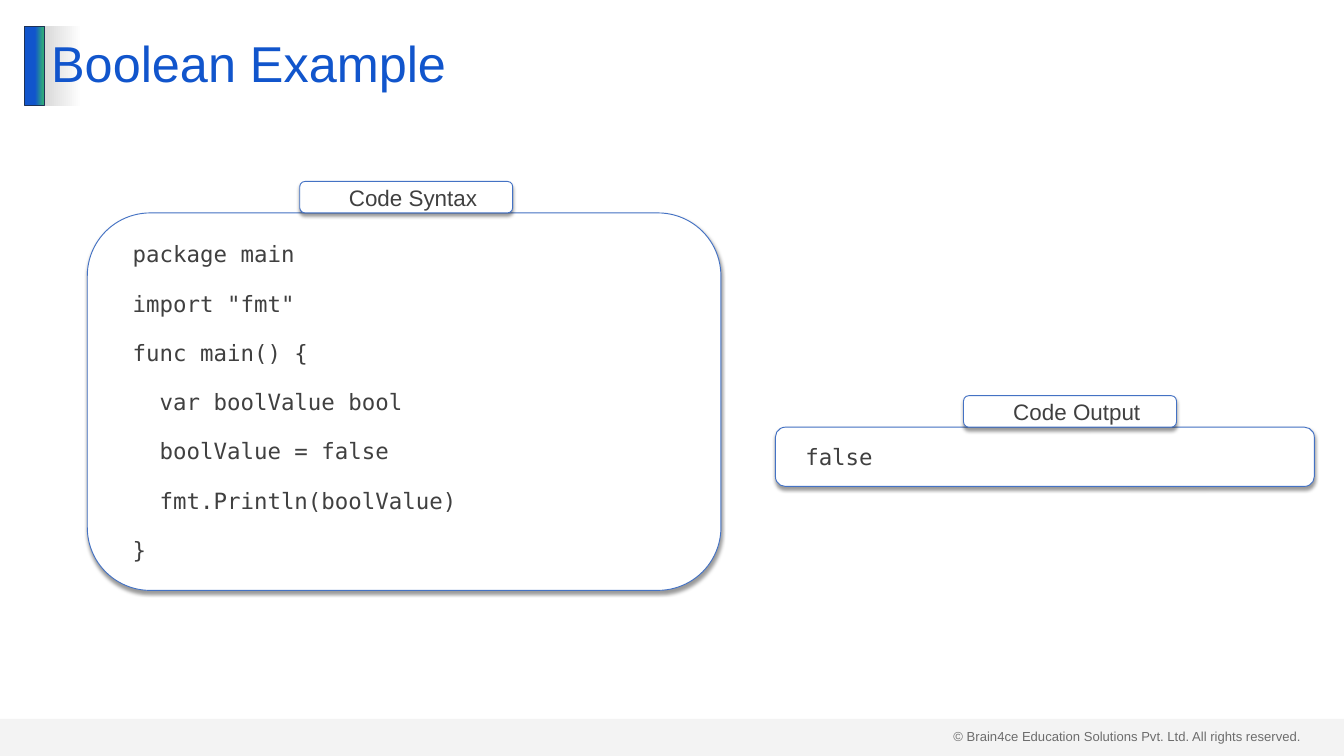
from dataclasses import dataclass

from lxml.etree import SubElement
from pptx import Presentation
from pptx.dml.color import RGBColor
from pptx.enum.shapes import MSO_SHAPE as Shape
from pptx.enum.text import MSO_ANCHOR as Anchor, MSO_AUTO_SIZE as AutoSize, PP_ALIGN as Align
from pptx.oxml.ns import qn
from pptx.util import Cm, Pt

COLORS = {
    "title": "1155CC", "green": "2EA87D", "accent_line": "1E3256",
    "grey": "D9D9D9", "white": "FFFFFF", "border": "4472C4",
    "text": "404040", "shadow": "000000",
}
SANS, MONO = "Arial", "DejaVu Sans Mono"
LABEL_WIDTH, LABEL_HEIGHT = 8.05, 1.19
INDENT = Cm(0.51)


@dataclass
class Box:
    """Position and size in centimetres."""
    left: float
    top: float
    width: float
    height: float

    def lengths(self) -> list:
        return [Cm(v) for v in (self.left, self.top, self.width, self.height)]


@dataclass
class Panel:
    label: str
    label_left: float
    box: Box
    lines: list[str]


PANELS = [
    Panel("Code Syntax", 11.33, Box(3.3, 8.05, 23.95, 14.27), [
        "package main",
        'import "fmt"',
        "func main() {",
        "  var boolValue bool",
        "  boolValue = false",
        "  fmt.Println(boolValue)",
        "}",
    ]),
    Panel("Code Output", 36.42, Box(29.31, 16.15, 20.37, 2.24), ["false"]),
]


def color(name: str) -> RGBColor:
    return RGBColor.from_string(COLORS[name])


def style(paragraph, font_name: str, size: float, color_name: str) -> None:
    for run in paragraph.runs:
        run.font.name = font_name
        run.font.size = Pt(size)
        run.font.color.rgb = color(color_name)


def add_alpha(color_element, percent: int) -> None:
    SubElement(color_element, qn("a:alpha"), val=str(percent * 1000))


def fill_gradient(shape, stops: list[tuple[str, float]]) -> None:
    shape.fill.gradient()
    shape.fill.gradient_angle = 0
    for stop, (name, position) in zip(shape.fill.gradient_stops, stops):
        stop.color.rgb = color(name)
        stop.position = position


def add_shadow(shape) -> None:
    effects = shape._element.spPr.find(qn("a:effectLst"))
    shadow = SubElement(effects, qn("a:outerShdw"), blurRad=str(Pt(4)), dist=str(Pt(3)),
                        dir="5400000", algn="t", rotWithShape="0")
    add_alpha(SubElement(shadow, qn("a:srgbClr"), val=COLORS["shadow"]), 40)


def add_plain(slide, kind, box: Box):
    shape = slide.shapes.add_shape(kind, *box.lengths())
    shape.shadow.inherit = False
    return shape


def add_card(slide, box: Box, lines: list[str], font_name: str, align) -> None:
    card = add_plain(slide, Shape.ROUNDED_RECTANGLE, box)
    card.fill.solid()
    card.fill.fore_color.rgb = color("white")
    card.line.color.rgb = color("border")
    card.line.width = Pt(1)
    add_shadow(card)

    frame = card.text_frame
    frame.word_wrap = True
    frame.vertical_anchor = Anchor.MIDDLE
    frame.margin_left = frame.margin_right = Cm(0.51)
    frame.margin_top = frame.margin_bottom = Cm(0.25)
    frame.text = "\n".join(lines)
    last = len(lines) - 1
    for i, paragraph in enumerate(frame.paragraphs):
        paragraph.alignment = align
        paragraph.space_before = Pt(12 if i > 0 else 0)
        paragraph.space_after = Pt(12 if i < last else 0)
        paragraph._p.get_or_add_pPr().set("marL", str(INDENT))
        style(paragraph, font_name, 24, "text")


def add_footer(slide) -> None:
    notice = slide.shapes.add_textbox(*Box(35.79, 27.43, 13.74, 0.86).lengths())
    notice.text_frame.word_wrap = True
    notice.text_frame.auto_size = AutoSize.SHAPE_TO_FIT_TEXT
    notice.text_frame.text = "© Brain4ce Education Solutions Pvt. Ltd. All rights reserved."
    style(notice.text_frame.paragraphs[0], SANS, 14, "text")

    band = add_plain(slide, Shape.RECTANGLE, Box(0, 27.18, 50.8, 1.4))
    band.fill.solid()
    band.fill.fore_color.rgb = color("grey")
    add_alpha(band._element.spPr.find(qn("a:solidFill"))[0], 29)
    band.line.fill.background()


def add_title(slide) -> None:
    accent = add_plain(slide, Shape.RECTANGLE, Box(0.94, 0.99, 0.76, 3))
    fill_gradient(accent, [("title", 0.51), ("green", 0.9)])
    accent.line.color.rgb = color("accent_line")
    accent.line.width = Pt(1)

    title = slide.shapes.title
    title.left, title.top, title.width, title.height = Box(1.68, 0.99, 47.42, 3).lengths()
    fill_gradient(title, [("grey", 0), ("white", 0.03)])
    frame = title.text_frame
    frame.text = "Boolean Example"
    frame.auto_size = AutoSize.NONE
    frame.vertical_anchor = Anchor.MIDDLE
    heading = frame.paragraphs[0]
    heading.alignment = Align.LEFT
    heading.line_spacing = 0.9
    style(heading, SANS, 54, "title")


def main() -> None:
    deck = Presentation()
    deck.slide_width, deck.slide_height = Cm(50.8), Cm(28.58)
    slide = deck.slides.add_slide(deck.slide_layouts[5])

    # Footer and title
    add_footer(slide)
    add_title(slide)

    # Code panels, each with a label standing on its top edge
    for panel in PANELS:
        add_card(slide, panel.box, panel.lines, MONO, Align.LEFT)
        label_box = Box(panel.label_left, panel.box.top - LABEL_HEIGHT,
                        LABEL_WIDTH, LABEL_HEIGHT)
        add_card(slide, label_box, [panel.label], SANS, Align.CENTER)

    deck.save("out.pptx")


if __name__ == "__main__":
    main()
